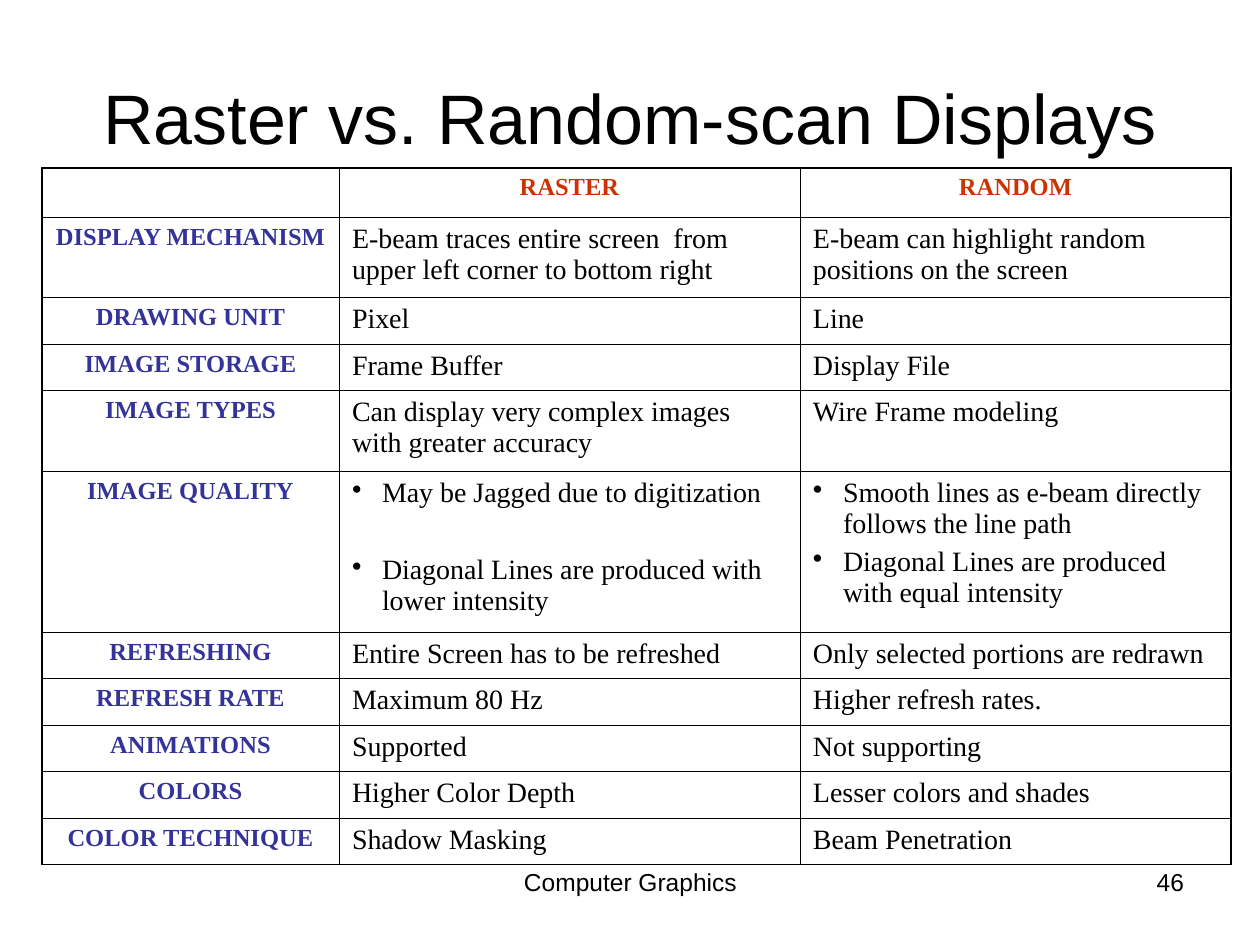
from lxml.etree import SubElement
from pptx import Presentation
from pptx.dml.color import RGBColor
from pptx.enum.text import MSO_ANCHOR as Anchor, PP_ALIGN as Align
from pptx.oxml.ns import qn
from pptx.util import Pt

SCALE = 914400 / 126  # EMU per px
INSETS = {"margin_left": 13, "margin_right": 13, "margin_top": 6, "margin_bottom": 6}


def px(length):
    return round(length * SCALE)


def write(paragraph, text, style):
    paragraph.alignment = style["align"]
    run = paragraph.add_run()
    run.text = text
    for key, value in style["font"].items():
        setattr(run.font, key, value)
    run.font.color.rgb = RGBColor.from_string(style["color"])


# Text styles
SERIF = "Times New Roman"
label_font = {"name": SERIF, "size": Pt(14), "bold": True}
footer_font = {"name": "Arial", "size": Pt(14)}
heading = {"align": Align.CENTER, "color": "CC3300", "font": label_font}
aspect = {"align": Align.CENTER, "color": "333399", "font": label_font}
body = {"align": Align.LEFT, "color": "000000",
        "font": {"name": SERIF, "size": Pt(16), "bold": False}}
title = {"align": Align.CENTER, "color": "000000",
         "font": {"name": "Arial", "size": Pt(40)}}
footer = {"align": Align.CENTER, "color": "000000", "font": footer_font}
page_number = {"align": Align.RIGHT, "color": "000000", "font": footer_font}

# Comparison content: row height, aspect, raster, random
comparison = [
    (48, "", "RASTER", "RANDOM"),
    (80, "DISPLAY MECHANISM",
     "E-beam traces entire screen  from upper left corner to bottom right",
     "E-beam can highlight random positions on the screen"),
    (47, "DRAWING UNIT", "Pixel", "Line"),
    (46, "IMAGE STORAGE", "Frame Buffer", "Display File"),
    (81, "IMAGE TYPES", "Can display very complex images with greater accuracy",
     "Wire Frame modeling"),
    (161, "IMAGE QUALITY",
     ["May be Jagged due to digitization",
      "Diagonal Lines are produced with lower intensity"],
     ["Smooth lines as e-beam directly follows the line path",
      "Diagonal Lines are produced with equal intensity"]),
    (46, "REFRESHING", "Entire Screen has to be refreshed",
     "Only selected portions are redrawn"),
    (47, "REFRESH RATE", "Maximum 80 Hz", "Higher refresh rates."),
    (46, "ANIMATIONS", "Supported", "Not supporting"),
    (47, "COLORS", "Higher Color Depth", "Lesser colors and shades"),
    (46, "COLOR TECHNIQUE", "Shadow Masking", "Beam Penetration"),
]
column_widths = [297, 461, 431]
bullet_gaps = {1: Pt(26), 2: Pt(4)}  # space between bullets, by column

deck = Presentation()
deck.slide_width, deck.slide_height = px(1260), px(945)
slide = deck.slides.add_slide(deck.slide_layouts[6])

# Title and footer
for text, style, anchor, box in [
    ("Computer Graphics", footer, Anchor.TOP, (431, 861, 399, 65)),
    ("46", page_number, Anchor.TOP, (903, 861, 294, 65)),
    ("Raster vs. Random-scan Displays", title, Anchor.MIDDLE, (63, 38, 1134, 158)),
]:
    frame = slide.shapes.add_textbox(*map(px, box)).text_frame
    frame.word_wrap = True
    frame.vertical_anchor = anchor
    for side, inset in INSETS.items():
        setattr(frame, side, px(inset))
    write(frame.paragraphs[0], text, style)

# Comparison table
last_row, last_column = len(comparison) - 1, len(column_widths) - 1
table_height = sum(height for height, *_ in comparison)
table = slide.shapes.add_table(
    len(comparison), len(column_widths),
    px(42), px(168), px(sum(column_widths)), px(table_height)).table
table.first_row = table.horz_banding = False
for column, width in zip(table.columns, column_widths):
    column.width = px(width)

for r, (height, *entries) in enumerate(comparison):
    table.rows[r].height = px(height)
    for c, entry in enumerate(entries):
        cell = table.cell(r, c)
        for side, inset in INSETS.items():
            setattr(cell, side, px(inset))

        # Cell text, bulleted where there are several points
        style = heading if r == 0 else aspect if c == 0 else body
        points = entry if isinstance(entry, list) else [entry]
        for i, point in enumerate(points):
            paragraph = cell.text_frame.paragraphs[0] if i == 0 else cell.text_frame.add_paragraph()
            if len(points) > 1:
                properties = paragraph._p.get_or_add_pPr()
                properties.set("marL", str(px(30)))
                properties.set("indent", str(px(-30)))
                SubElement(properties, qn("a:buChar"), char="•")
            if i > 0:
                paragraph.space_before = bullet_gaps[c]
            write(paragraph, point, style)

        # Thin inner rules, heavier outer frame
        cell_properties = cell._tc.get_or_add_tcPr()
        for edge, is_outer in [("L", c == 0), ("R", c == last_column),
                               ("T", r == 0), ("B", r == last_row)]:
            weight = Pt(1.08) if is_outer else Pt(0.45)
            rule = SubElement(cell_properties, qn(f"a:ln{edge}"), w=str(weight))
            ink = SubElement(rule, qn("a:solidFill"))
            SubElement(ink, qn("a:srgbClr"), val="000000")
        cell.fill.background()

deck.save("out.pptx")
